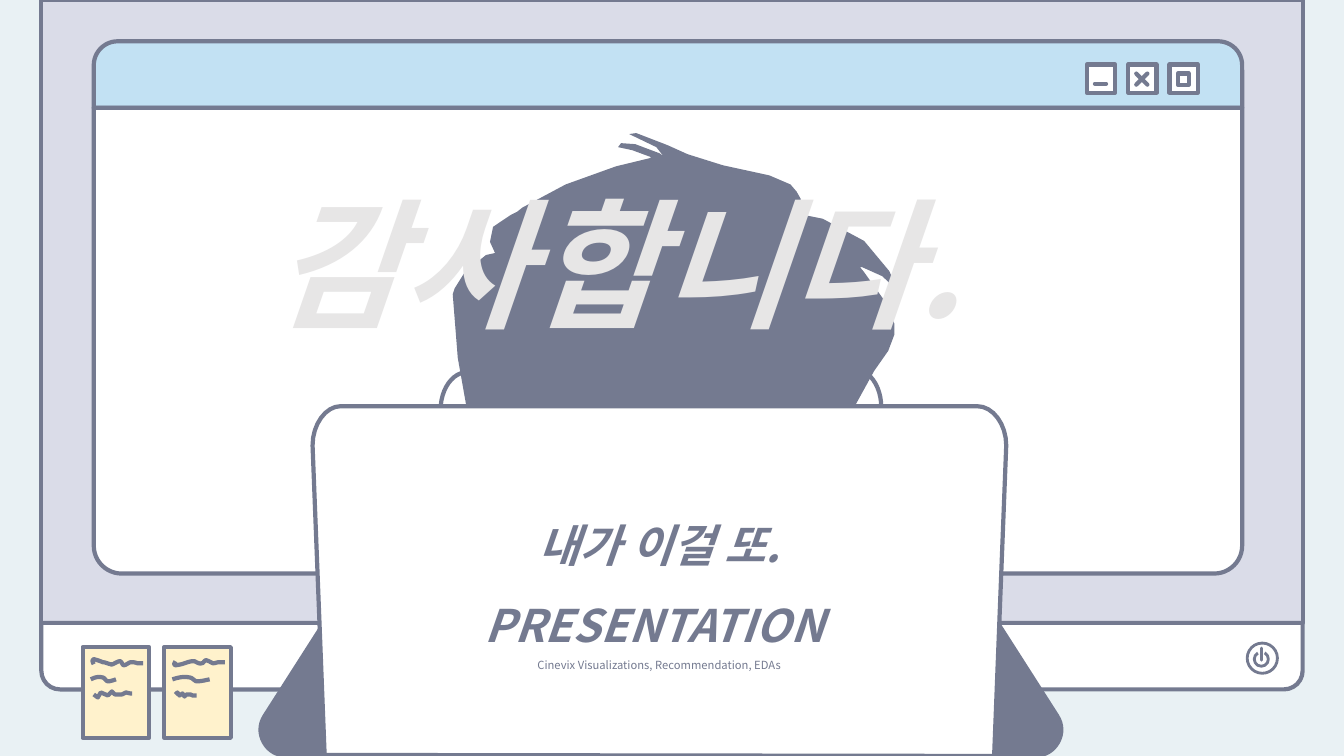
from lxml import etree
from pptx import Presentation
from pptx.dml.color import RGBColor
from pptx.enum.shapes import MSO_CONNECTOR, MSO_SHAPE
from pptx.enum.text import MSO_ANCHOR, MSO_AUTO_SIZE, PP_ALIGN
from pptx.oxml.ns import qn
from pptx.util import Pt

RECT = MSO_SHAPE.RECTANGLE
OVAL = MSO_SHAPE.OVAL
ARC = MSO_SHAPE.ARC
TRIANGLE = MSO_SHAPE.RIGHT_TRIANGLE
ROUND_PAIR = MSO_SHAPE.ROUND_2_SAME_RECTANGLE
STRAIGHT = MSO_CONNECTOR.STRAIGHT
CENTER, LEFT = PP_ALIGN.CENTER, PP_ALIGN.LEFT
MIDDLE, TOP = MSO_ANCHOR.MIDDLE, MSO_ANCHOR.TOP
FIT = MSO_AUTO_SIZE.SHAPE_TO_FIT_TEXT

PX = 9144  # 100 px to the inch
FONT = "Noto Sans CJK KR"
INK, WHITE, DESK, CASE = "747A90", "FFFFFF", "E9F1F4", "DADCE8"
SKY, NOTE, PALE = "C2E1F3", "FFF2CC", "E7E6E6"

# Content
THANKS = [("감사합니다.", 100, True)]
LID_LINES = [
    ("내가 이걸 또.", 32, True),
    ("PRESENTATION ", 32, True),
    ("Cinevix Visualizations, Recommendation, EDAs", 8, False),
]

# Outlines: a pair is a corner, six numbers are a curve
NOTES = [
    (82, [
        [(93, 659), (92, 657, 91, 655, 93, 654), (94, 654, 100, 656, 102, 657),
         (105, 657, 108, 659, 110, 659), (111, 660, 110, 659, 112, 659),
         (114, 658, 117, 656, 119, 656), (121, 656, 121, 660, 123, 660),
         (125, 660, 128, 657, 130, 657), (132, 657, 134, 657, 136, 658),
         (138, 658, 140, 658, 142, 658)],
        [(90, 674), (94, 672, 98, 671, 101, 672), (104, 672, 104, 675, 107, 676),
         (109, 676, 112, 675, 115, 674)],
        [(93, 689), (97, 692), (100, 687), (107, 690), (111, 686), (114, 689),
         (121, 689), (125, 687), (129, 688), (131, 688)],
    ]),
    (163, [
        [(174, 656), (173, 658, 172, 659, 174, 660), (175, 660, 181, 659, 183, 658),
         (186, 657, 189, 656, 191, 656), (192, 656, 192, 656, 193, 656),
         (195, 657, 198, 659, 200, 658), (202, 658, 202, 656, 204, 655),
         (206, 655, 209, 657, 211, 658), (214, 658, 215, 657, 217, 657),
         (219, 657, 221, 657, 223, 657)],
        [(171, 674), (177, 672, 183, 671, 187, 672), (191, 672, 192, 675, 195, 676),
         (199, 676, 203, 675, 208, 674)],
        [(174, 689), (176, 687), (178, 690), (181, 688), (183, 691), (185, 689),
         (189, 689), (191, 690), (193, 690), (195, 690)],
    ]),
]
HAIR = [
    (486, 494), (481, 486), (471, 459), (463, 410), (462, 400), (454, 355), (449, 292),
    (451, 286), (461, 270), (482, 253), (491, 251), (486, 240), (489, 225), (507, 213),
    (513, 210), (518, 206), (561, 183), (611, 165), (644, 157), (646, 156), (627, 149),
    (613, 146), (616, 142), (630, 143), (654, 152), (658, 155), (651, 146), (624, 133),
    (631, 132), (662, 144), (682, 153), (717, 164), (763, 174), (784, 183), (790, 190),
    (794, 197), (796, 212), (801, 214), (816, 217), (857, 239), (882, 269), (891, 289),
    (875, 274), (855, 265), (853, 265), (857, 270), (877, 298), (887, 321), (887, 332),
    (881, 348), (867, 368), (845, 408), (836, 439), (833, 457), (826, 486), (820, 499),
    (817, 501), (814, 497), (810, 454), (810, 368), (811, 343), (810, 338), (793, 327),
    (758, 315), (749, 313), (756, 317), (779, 340), (787, 360), (785, 371), (775, 350),
    (758, 338), (756, 338), (760, 346), (775, 388), (777, 407), (774, 416), (770, 419),
    (765, 392), (749, 355), (730, 332), (710, 320), (701, 315), (690, 312), (662, 309),
    (614, 313), (586, 320), (562, 326), (525, 324), (521, 323), (526, 352), (510, 340),
    (507, 358), (513, 367), (517, 386), (504, 374), (502, 374), (506, 381), (506, 394),
    (503, 389), (495, 388), (493, 388), (493, 402), (493, 461), (490, 489),
]
HEAD = [
    (461, 383), (466, 412, 479, 525, 493, 558), (507, 590, 514, 574, 547, 577),
    (580, 580, 648, 579, 692, 576), (736, 574, 788, 581, 812, 562),
    (836, 542, 830, 485, 834, 460), (838, 436, 835, 428, 838, 415),
    (840, 403, 853, 403, 847, 384), (840, 365, 820, 320, 800, 299),
    (780, 277, 760, 264, 728, 257), (695, 250, 642, 249, 606, 255),
    (570, 260, 533, 279, 510, 290), (488, 300, 481, 303, 473, 319),
    (465, 336, 466, 378, 465, 388), (463, 398, 456, 355, 461, 383),
]
LID = [
    (969, 403), (338, 403), (323, 403, 310, 421, 310, 442), (322, 749), (986, 750),
    (998, 442), (998, 421, 985, 403, 969, 403),
]

prs = Presentation()
prs.slide_width, prs.slide_height = 1333 * PX, 750 * PX
slide = prs.slides.add_slide(prs.slide_layouts[6])


def rgb(code):
    return RGBColor.from_string(code)


def paint(shape, fill=None, line=INK, width=3):
    shape.shadow.inherit = False
    if fill:
        shape.fill.solid()
        shape.fill.fore_color.rgb = rgb(fill)
    else:
        shape.fill.background()
    if line:
        shape.line.color.rgb = rgb(line)
        shape.line.width = Pt(width)
    else:
        shape.line.fill.background()
    return shape


def preset(kind, x, y, w, h, fill=None, adjust=(), **look):
    shape = slide.shapes.add_shape(kind, x * PX, y * PX, w * PX, h * PX)
    for index, value in enumerate(adjust):
        shape.adjustments[index] = value
    return paint(shape, fill, **look)


def stroke(x1, y1, x2, y2, width=3):
    line = slide.shapes.add_connector(STRAIGHT, x1 * PX, y1 * PX, x2 * PX, y2 * PX)
    line.line.color.rgb = rgb(INK)
    line.line.width = Pt(width)
    line.line._ln.set("cap", "rnd")
    etree.SubElement(line._element.spPr, qn("a:effectLst"))


def outline(steps, closed=True, **look):
    points = [steps[0]]
    for step in steps[1:]:
        if len(step) == 2:
            points.append(step)
            continue
        start, curve = points[-1], (step[:2], step[2:4], step[4:])
        for t in (k / 8 for k in range(1, 9)):
            weights = ((1 - t) ** 3, 3 * t * (1 - t) ** 2, 3 * t * t * (1 - t), t ** 3)
            points.append(tuple(sum(w * p[axis] for w, p in zip(weights, (start, *curve)))
                                for axis in (0, 1)))
    corners = [(x * PX, y * PX) for x, y in points]
    builder = slide.shapes.build_freeform(*corners[0])
    builder.add_line_segments(corners[1:], close=closed)
    return paint(builder.convert_to_shape(), **look)


def write(shape, lines, color=INK, align=LEFT, anchor=TOP, spacing=None):
    frame = shape.text_frame
    frame.word_wrap, frame.vertical_anchor = True, anchor
    for index, (words, size, strong) in enumerate(lines):
        para = frame.add_paragraph() if index else frame.paragraphs[0]
        para.alignment, para.line_spacing = align, spacing
        run = para.add_run()
        run.text = words
        font = run.font
        font.name, font.size, font.color.rgb = FONT, Pt(size), rgb(color)
        font.bold = font.italic = strong
        etree.SubElement(font._element, qn("a:ea")).set("typeface", FONT)


slide.background.fill.solid()
slide.background.fill.fore_color.rgb = rgb(DESK)

# Monitor and power button
preset(ROUND_PAIR, 41, 0, 1251, 618, CASE, (0, 0))
preset(ROUND_PAIR, 41, 618, 1251, 66, WHITE, (0, 0.28))
preset(OVAL, 1237, 638, 30, 30, WHITE, width=2)
preset(ARC, 1244, 647, 14, 14, adjust=(178.7, 144.4), width=2)
stroke(1251, 643, 1251, 655, width=2)

# Sticky notes
for note_x, scribbles in NOTES:
    preset(RECT, note_x, 642, 66, 90, NOTE)
    for scribble in scribbles:
        outline(scribble, closed=False)

# Window with its three buttons
preset(ROUND_PAIR, 93, 41, 1139, 66, SKY, (0.36, 0))
preset(ROUND_PAIR, 93, 107, 1139, 462, WHITE, (0, 0.06))
minimize, close, maximize = (1078 + 41 * i for i in range(3))
for button_x in (minimize, close, maximize):
    preset(RECT, button_x, 64, 28, 28, WHITE)
stroke(minimize + 8, 83, minimize + 19, 83)
stroke(close + 8, 73, close + 19, 84)
stroke(close + 8, 84, close + 19, 73)
preset(RECT, maximize + 8, 73, 11, 11, WHITE)

# Person: ears, hair, head, arms
for ear_x, ear_y in ((437, 369), (820, 366)):
    preset(OVAL, ear_x, ear_y, 54, 75, WHITE)
for part in (HAIR, HEAD):
    outline(part, fill=INK, line=None)
for arm_x, mirrored in ((958, False), (284, True)):
    arm = preset(TRIANGLE, arm_x, 616, 69, 108, INK, width=39.75)
    etree.SubElement(arm.line._ln, qn("a:round"))
    if mirrored:
        arm._element.spPr.find(qn("a:xfrm")).set("flipH", "1")

# Laptop lid and thanks
write(outline(LID, fill=WHITE), LID_LINES, align=CENTER, anchor=MIDDLE, spacing=1.5)
thanks = slide.shapes.add_textbox(261 * PX, 171 * PX, 831 * PX, 178 * PX)
write(thanks, THANKS, color=PALE)
thanks.text_frame.auto_size = FIT

prs.save("out.pptx")
